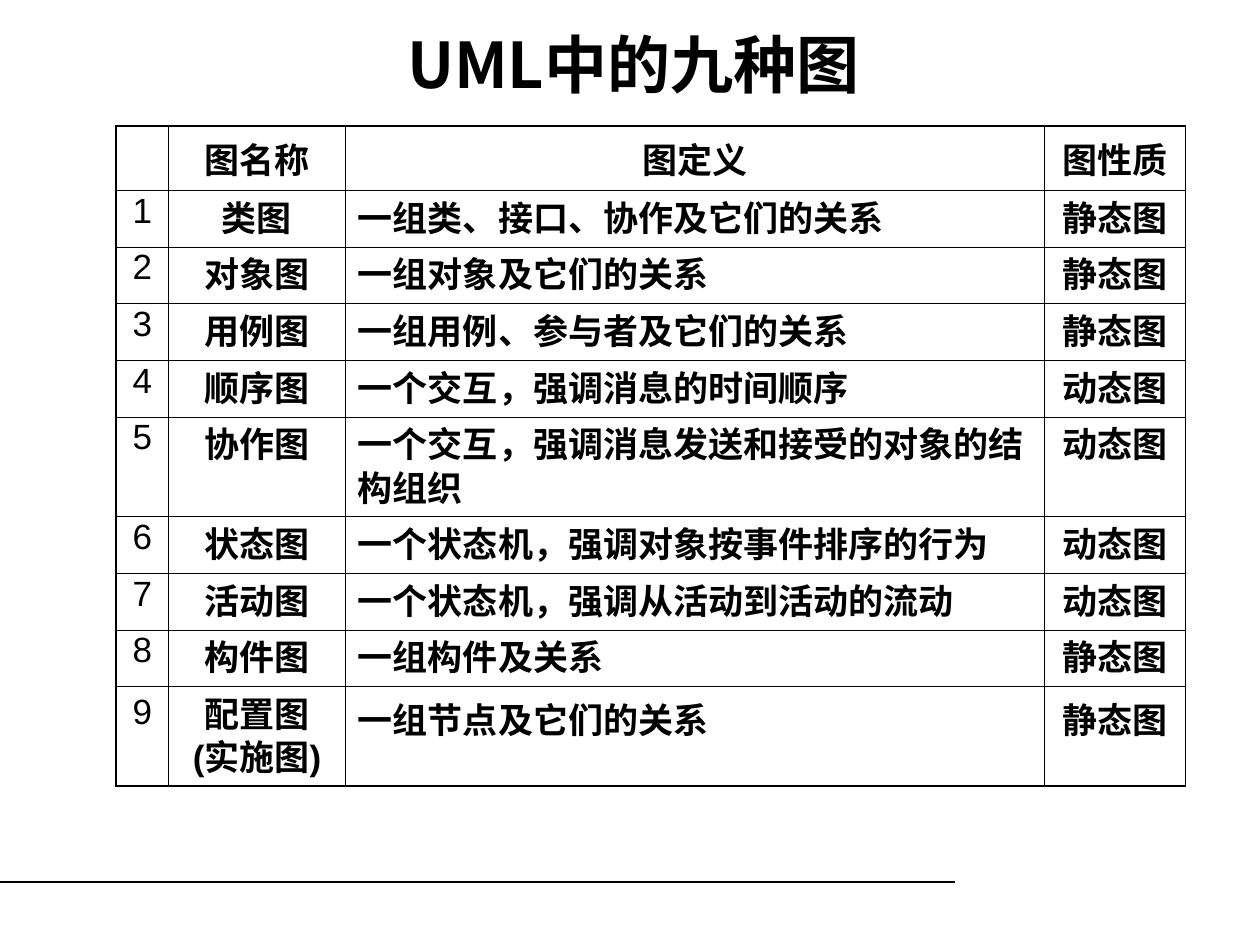
from dataclasses import dataclass

from lxml import etree
from pptx import Presentation
from pptx.dml.color import RGBColor
from pptx.enum.shapes import MSO_CONNECTOR
from pptx.enum.text import MSO_ANCHOR, MSO_AUTO_SIZE, PP_ALIGN
from pptx.oxml.ns import qn
from pptx.util import Inches, Pt

STRAIGHT = MSO_CONNECTOR.STRAIGHT
MIDDLE = MSO_ANCHOR.MIDDLE
NO_AUTOFIT = MSO_AUTO_SIZE.NONE
LEFT, CENTER = PP_ALIGN.LEFT, PP_ALIGN.CENTER


@dataclass(frozen=True)
class Theme:
    ink: str = "000000"
    latin: str = "Arial"
    chinese: str = "Noto Sans CJK SC"
    title_size: int = 36
    body_size: int = 20
    tight_spacing: float = 0.85
    inner_border: float = 0.45
    outer_border: float = 1.08
    rule_width: float = 0.75


THEME = Theme()
TITLE = "UML中的九种图"
HEADER = ("", "图名称", "图定义", "图性质")
STATIC, DYNAMIC = "静态图", "动态图"
DIAGRAMS = [
    ("类图", "一组类、接口、协作及它们的关系", STATIC),
    ("对象图", "一组对象及它们的关系", STATIC),
    ("用例图", "一组用例、参与者及它们的关系", STATIC),
    ("顺序图", "一个交互，强调消息的时间顺序", DYNAMIC),
    ("协作图", "一个交互，强调消息发送和接受的对象的结构组织", DYNAMIC),
    ("状态图", "一个状态机，强调对象按事件排序的行为", DYNAMIC),
    ("活动图", "一个状态机，强调从活动到活动的流动", DYNAMIC),
    ("构件图", "一组构件及关系", STATIC),
    ("配置图\n(实施图)", "一组节点及它们的关系", STATIC),
]
ROWS = [HEADER] + [(str(n), *diagram) for n, diagram in enumerate(DIAGRAMS, 1)]

SLIDE_WIDTH, SLIDE_HEIGHT = 10, 7.5
TABLE_LEFT, TABLE_TOP = 0.92, 1
COLUMN_WIDTHS = (0.42, 1.4, 5.55, 1.12)
HEADER_HEIGHT, SINGLE_HEIGHT, DOUBLE_HEIGHT = 0.51, 0.45, 0.79
TWO_LINE_ROWS = (5, 9)
NUMBER, NAME, DEFINITION, NATURE = range(4)
LAST_ROW = len(ROWS) - 1


def style_font(font, size, latin, bold):
    font.size = Pt(size)
    font.bold = bold
    font.name = latin
    font.color.rgb = RGBColor.from_string(THEME.ink)


def style_runs(paragraph, size, latin, bold):
    for run in paragraph.runs:
        style_font(run.font, size, latin, bold)
        east_asian = etree.Element(qn("a:ea"), typeface=THEME.chinese)
        run.font._element.find(qn("a:latin")).addnext(east_asian)


def row_height(row):
    if row == 0:
        return HEADER_HEIGHT
    return DOUBLE_HEIGHT if row in TWO_LINE_ROWS else SINGLE_HEIGHT


def set_borders(cell, row, column):
    """Thin lines inside the table, thicker ones around its edge."""
    outer_sides = {
        "L": column == NUMBER,
        "R": column == NATURE,
        "T": row == 0,
        "B": row == LAST_ROW,
    }
    properties = cell._tc.get_or_add_tcPr()
    for index, (side, outer) in enumerate(outer_sides.items()):
        width = THEME.outer_border if outer else THEME.inner_border
        line = etree.Element(qn(f"a:ln{side}"), w=str(Pt(width)))
        fill = etree.SubElement(line, qn("a:solidFill"))
        etree.SubElement(fill, qn("a:srgbClr"), val=THEME.ink)
        properties.insert(index, line)


def fill_cell(cell, text, row, column):
    cell.fill.background()
    set_borders(cell, row, column)
    cell.text_frame.text = text
    full_spacing = row == 0 or (row == LAST_ROW and column != NAME)
    for paragraph in cell.text_frame.paragraphs:
        left_aligned = column == DEFINITION and row > 0
        paragraph.alignment = LEFT if left_aligned else CENTER
        paragraph.line_spacing = 1.0 if full_spacing else THEME.tight_spacing
        style_runs(paragraph, THEME.body_size, THEME.latin, column != NUMBER)
        if not text:
            style_font(paragraph.font, THEME.body_size, THEME.latin, True)


def add_title(slide):
    title = slide.shapes.title
    title.left, title.top = Inches(0.5), Inches(0.25)
    title.width, title.height = Inches(9.05), Inches(0.5)
    frame = title.text_frame
    frame.text = TITLE
    frame.auto_size = NO_AUTOFIT
    frame.vertical_anchor = MIDDLE
    paragraph = frame.paragraphs[0]
    paragraph.alignment = CENTER
    style_runs(paragraph, THEME.title_size, THEME.chinese, True)


def add_diagram_table(slide):
    heights = [row_height(row) for row in range(len(ROWS))]
    table = slide.shapes.add_table(
        len(ROWS), len(HEADER), Inches(TABLE_LEFT), Inches(TABLE_TOP),
        Inches(sum(COLUMN_WIDTHS)), Inches(sum(heights)),
    ).table
    table.first_row = table.horz_banding = False
    for column, width in zip(table.columns, COLUMN_WIDTHS):
        column.width = Inches(width)
    for row, (texts, height) in enumerate(zip(ROWS, heights)):
        table.rows[row].height = Inches(height)
        for column, text in enumerate(texts):
            fill_cell(table.cell(row, column), text, row, column)


def add_footer_rule(slide):
    rule = slide.shapes.add_connector(
        STRAIGHT, 0, Inches(7), Inches(7.58), Inches(7)
    )
    rule.line.color.rgb = RGBColor.from_string(THEME.ink)
    rule.line.width = Pt(THEME.rule_width)
    etree.SubElement(rule._element.spPr, qn("a:effectLst"))


def main():
    presentation = Presentation()
    presentation.slide_width = Inches(SLIDE_WIDTH)
    presentation.slide_height = Inches(SLIDE_HEIGHT)
    slide = presentation.slides.add_slide(presentation.slide_layouts[5])
    add_footer_rule(slide)
    add_title(slide)
    add_diagram_table(slide)
    presentation.save("out.pptx")


if __name__ == "__main__":
    main()
